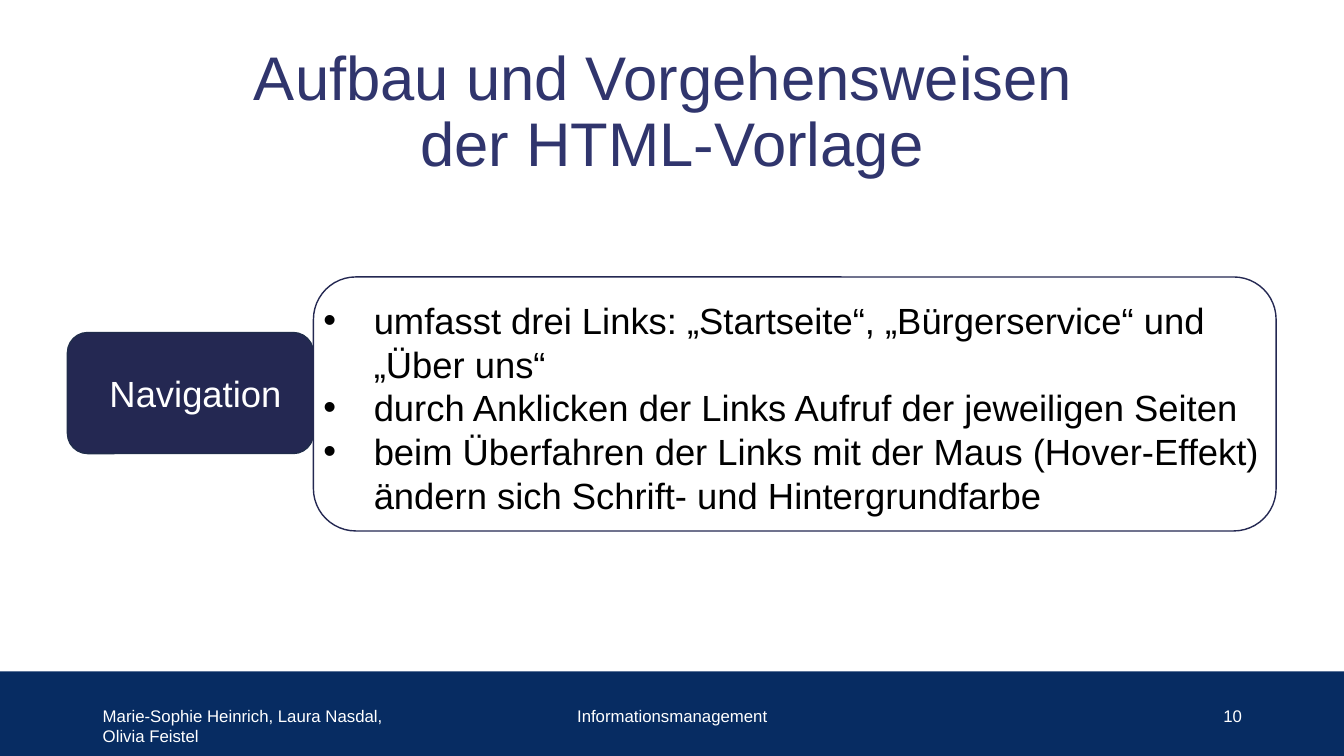
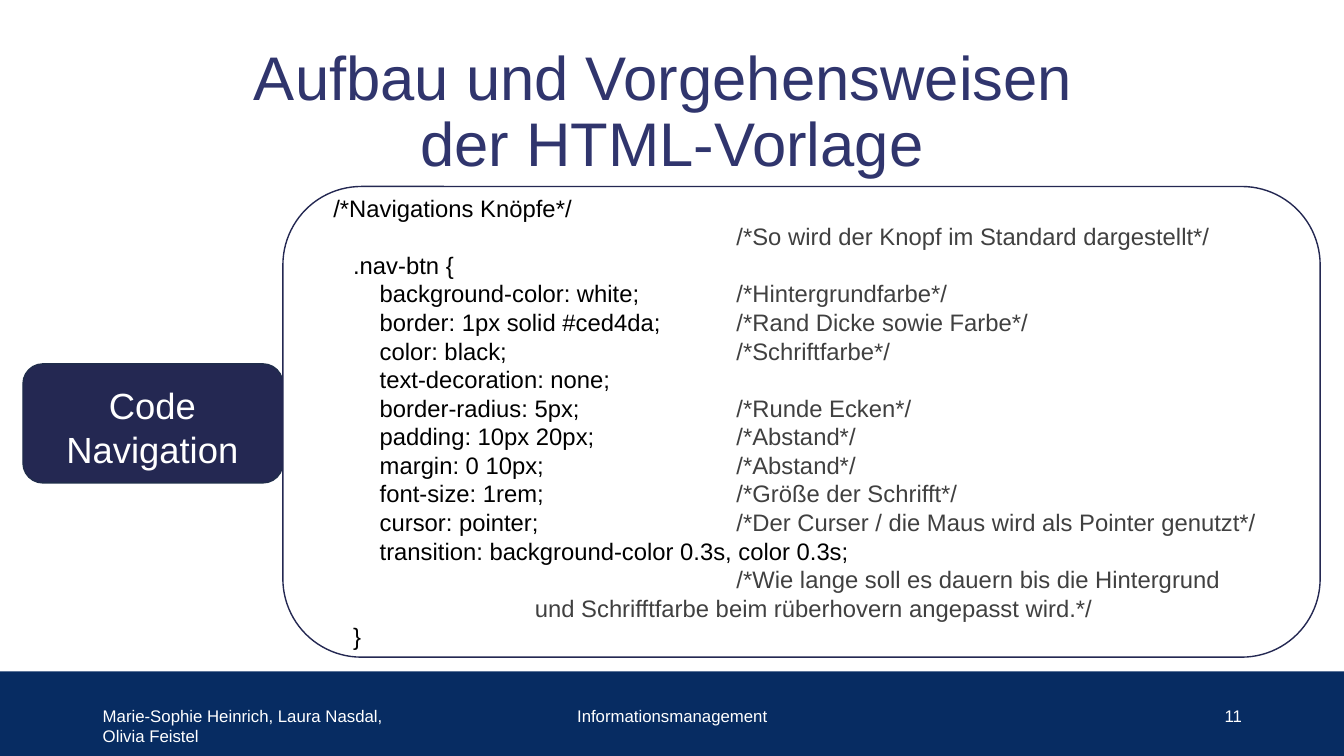
from pptx import Presentation
from pptx.dml.color import RGBColor
from pptx.enum.shapes import MSO_SHAPE as Kind
from pptx.enum.text import MSO_ANCHOR as Anchor, PP_ALIGN as Align
from pptx.oxml.ns import qn
from pptx.util import Cm, Pt
from lxml.etree import SubElement as Sub

# Shared style
WIDE, HIGH = 33.87, 19.05
BAND, NAVY, EDGE, TITLE = "072C62", "242852", "202D4B", "30356D"
WHITE, BLACK, GREY = "FFFFFF", "000000", "404040"
hue = RGBColor.from_string


def block(kind, box, fill, line=None):
    shape = slide.shapes.add_shape(kind, *[Cm(n) for n in box])
    shape.shadow.inherit = False
    shape.fill.solid()
    shape.fill.fore_color.rgb = hue(fill)
    if line:
        shape.line.color.rgb = hue(line)
        shape.line.width = Pt(1)
    else:
        shape.line.fill.background()


def write(box, text, size, color, align=Align.LEFT, anchor=Anchor.TOP):
    frame = slide.shapes.add_textbox(*[Cm(n) for n in box]).text_frame
    frame.word_wrap = True
    frame.vertical_anchor = anchor
    frame.text = text
    for para in frame.paragraphs:
        para.alignment = align
        for run in para.runs:
            run.font.name = "Arial"
            run.font.size = Pt(size)
            run.font.color.rgb = hue(color)
    return frame.paragraphs


# Content: number, tag, tag text, panel
pages = [
    ("10", (1.7, 8.38, 6.2, 3.05), "Navigation",
     (2.51, 9.22, 5.77, 1.37), Align.LEFT, (7.9, 6.98, 24.26, 6.4)),
    ("11", (0.58, 9.17, 6.55, 3), "Code Navigation",
     (1.42, 9.53, 4.85, 2.49), Align.CENTER, (7.13, 4.7, 26.14, 11.86)),
]
points = [
    "umfasst drei Links: „Startseite“, „Bürgerservice“ und „Über uns“",
    "durch Anklicken der Links Aufruf der jeweiligen Seiten",
    "beim Überfahren der Links mit der Maus (Hover-Effekt) "
    "ändern sich Schrift- und Hintergrundfarbe",
]
# Tab stops for selector, property, wrapped note and note
SEL, PROP, WRAP, NOTE = 0.5, 1.17, 5.08, 10.16
code = [
    (0, "/*Navigations Knöpfe*/", ""),
    (NOTE, "", "/*So wird der Knopf im Standard dargestellt*/"),
    (SEL, ".nav-btn {", ""),
    (PROP, "background-color: white;", "/*Hintergrundfarbe*/"),
    (PROP, "border: 1px solid #ced4da;", "/*Rand Dicke sowie Farbe*/"),
    (PROP, "color: black;", "/*Schriftfarbe*/"),
    (PROP, "text-decoration: none;", ""),
    (PROP, "border-radius: 5px;", "/*Runde Ecken*/"),
    (PROP, "padding: 10px 20px;", "/*Abstand*/"),
    (PROP, "margin: 0 10px;", "/*Abstand*/"),
    (PROP, "font-size: 1rem;", "/*Größe der Schrifft*/"),
    (PROP, "cursor: pointer;",
     "/*Der Curser / die Maus wird als Pointer genutzt*/"),
    (PROP, "transition: background-color 0.3s, color 0.3s;", ""),
    (NOTE, "", "/*Wie lange soll es dauern bis die Hintergrund"),
    (WRAP, "", "und Schrifftfarbe beim rüberhovern angepasst wird.*/"),
    (SEL, "}", ""),
]

deck = Presentation()
deck.slide_width, deck.slide_height = Cm(WIDE), Cm(HIGH)

for num, tag, name, spot, side, panel in pages:
    slide = deck.slides.add_slide(deck.slide_layouts[6])

    # Band, tag and panel
    block(Kind.RECTANGLE, (0, 16.92, WIDE, 2.13), BAND)
    block(Kind.ROUNDED_RECTANGLE, tag, NAVY, EDGE)
    block(Kind.ROUNDED_RECTANGLE, panel, WHITE, NAVY)
    write(spot, name, 26, WHITE, side)

    # Title
    head = write((2.34, 1.02, 29.2, 3.68),
                 "Aufbau und Vorgehensweisen \vder HTML-Vorlage",
                 44, TITLE, Align.CENTER, Anchor.MIDDLE)
    head[0].line_spacing = 0.9

    # Footer
    for left, width, text, align in [
        (2.34, 7.62, "Marie-Sophie Heinrich, Laura Nasdal, Olivia Feistel",
         Align.LEFT),
        (11.23, 11.43, "Informationsmanagement", Align.CENTER),
        (23.93, 7.62, num, Align.RIGHT),
    ]:
        write((left, 17.65, width, 1.02), text, 12, WHITE, align)

    # Bullet points
    if num == "10":
        for para in write((7.9, 7.39, 25.04, 6), "\n".join(points), 26, BLACK):
            props = para._p.get_or_add_pPr()
            props.set("marL", str(Cm(1.27)))
            props.set("indent", str(-Cm(1.27)))
            Sub(props, qn("a:buFont"), typeface="Arial")
            Sub(props, qn("a:buChar"), char="•")
        continue

    # Code with notes
    text = "\n".join("\t" + cmd if start else cmd for start, cmd, note in code)
    paras = write((8.15, 4.75, 24.74, 11.7), text, 17, BLACK)
    for para, (start, cmd, note) in zip(paras, code):
        tabs = Sub(para._p.get_or_add_pPr(), qn("a:tabLst"))
        for stop in sorted({start, NOTE} - {0}):
            Sub(tabs, qn("a:tab"), pos=str(Cm(stop)), algn="l")
        if note:
            run = para.add_run()
            run.text = "\t" + note if cmd else note
            run.font.name = "Arial"
            run.font.size = Pt(17)
            run.font.color.rgb = hue(GREY)

deck.save("out.pptx")
